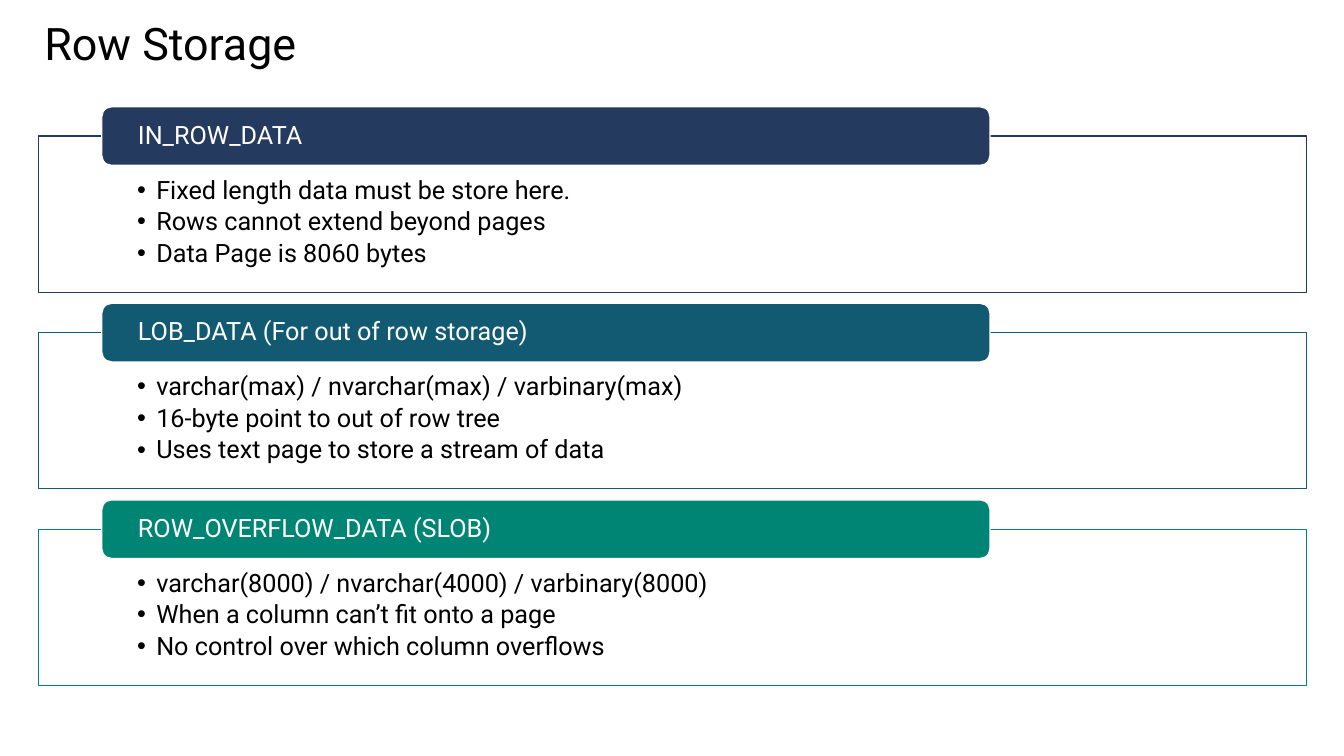
from pptx import Presentation
from pptx.dml.color import RGBColor as Color
from pptx.enum.shapes import MSO_SHAPE as Kind
from pptx.enum.text import MSO_ANCHOR as Anchor, MSO_AUTO_SIZE as Auto, PP_ALIGN as Align
from pptx.oxml.ns import qn
from pptx.util import Inches, Pt
from lxml.etree import SubElement as Sub

WHITE = Color(0xFF, 0xFF, 0xFF)
BLACK = Color(0x00, 0x00, 0x00)
NAVY = Color(0x24, 0x3A, 0x5E)
TEAL = Color(0x12, 0x5A, 0x71)
GREEN = Color(0x00, 0x85, 0x75)

# Vertical places, in percent of the slide's height
TOP, PITCH, RISE = 18, 26, 3.87

PARTS = [
    ("IN_ROW_DATA", NAVY, [
        "Fixed length data must be store here.",
        "Rows cannot extend beyond pages",
        "Data Page is 8060 bytes"]),
    ("LOB_DATA (For out of row storage)", TEAL, [
        "varchar(max) / nvarchar(max) / varbinary(max)",
        "16-byte point to out of row tree",
        "Uses text page to store a stream of data"]),
    ("ROW_OVERFLOW_DATA (SLOB)", GREEN, [
        "varchar(8000) / nvarchar(4000) / varbinary(8000)",
        "When a column can’t fit onto a page",
        "No control over which column overflows"]),
]


def write(shape, lines, size=18, color=BLACK, pad=(0, 0, 0, 0),
          anchor=Anchor.TOP, after=0, dots=False):
    """Fill a shape with formatted paragraphs; pad is left, top, right, bottom."""
    frame = shape.text_frame
    frame.text = "\n".join(lines)
    frame.word_wrap = True
    frame.auto_size = Auto.NONE
    frame.vertical_anchor = anchor
    (frame.margin_left, frame.margin_top,
     frame.margin_right, frame.margin_bottom) = [Inches(n) for n in pad]
    for para in frame.paragraphs:
        para.alignment = Align.LEFT
        para.line_spacing = 0.9
        para.space_before, para.space_after = Pt(0), Pt(after)
        font = para.runs[0].font
        font.name, font.size, font.bold = "Roboto", Pt(size), False
        font.color.rgb = color
        if dots:
            para.level = 1
            props = para._p.get_or_add_pPr()
            props.set("marL", str(Inches(0.19)))
            props.set("indent", str(Inches(-0.19)))
            Sub(props, qn("a:buFont"), typeface="Arial")
            Sub(props, qn("a:buChar"), char="•")


class Deck:
    def __init__(self, wide, high):
        self.show = Presentation()
        self.show.slide_width, self.show.slide_height = Inches(wide), Inches(high)
        self.page = self.show.slides.add_slide(self.show.slide_layouts[4])
        self.slots = [s for s in self.page.placeholders
                      if s.placeholder_format.idx > 0]

    def box(self, left, top, width, height):
        """Turn percent shares of the slide into lengths."""
        wide, high = self.show.slide_width, self.show.slide_height
        return (int(wide * left / 100), int(high * top / 100),
                int(wide * width / 100), int(high * height / 100))

    def place(self, shape, *share):
        shape.left, shape.top, shape.width, shape.height = self.box(*share)

    def paint(self, shape, fill, line):
        shape.fill.solid()
        shape.fill.fore_color.rgb = fill
        shape.line.color.rgb = line
        shape.line.width = Pt(0.85)

    def title(self, text):
        head = self.page.shapes.title
        self.place(head, 3.3, 2.93, 90, 16.67)
        write(head, [text], size=32)

    def panel(self, top, color, lines):
        body = self.slots.pop(0)
        self.place(body, 2.85, top, 94.35, 20.67)
        self.paint(body, WHITE, color)
        tint = body.element.spPr.find(qn("a:solidFill"))[0]
        Sub(tint, qn("a:alpha"), val="90000")
        write(body, lines, pad=(0.98, 0.41, 0.98, 0.14), after=3.15, dots=True)

    def label(self, top, color, text):
        tab = self.page.shapes.add_shape(
            Kind.ROUNDED_RECTANGLE, *self.box(7.58, top, 66.08, 7.73))
        tab.shadow.inherit = False
        self.paint(tab, color, WHITE)
        write(tab, [text], color=WHITE, pad=(0.33, 0, 0.33, 0),
              anchor=Anchor.MIDDLE)

    def save(self):
        for slot in self.slots:
            slot.element.getparent().remove(slot.element)
        self.show.save("out.pptx")


def main():
    deck = Deck(13.33, 7.5)
    deck.title("Row Storage")
    # Framed lists, each with a label over its top edge
    for row, (name, color, lines) in enumerate(PARTS):
        top = TOP + row * PITCH
        deck.panel(top, color, lines)
        deck.label(top - RISE, color, name)
    deck.save()


if __name__ == "__main__":
    main()
